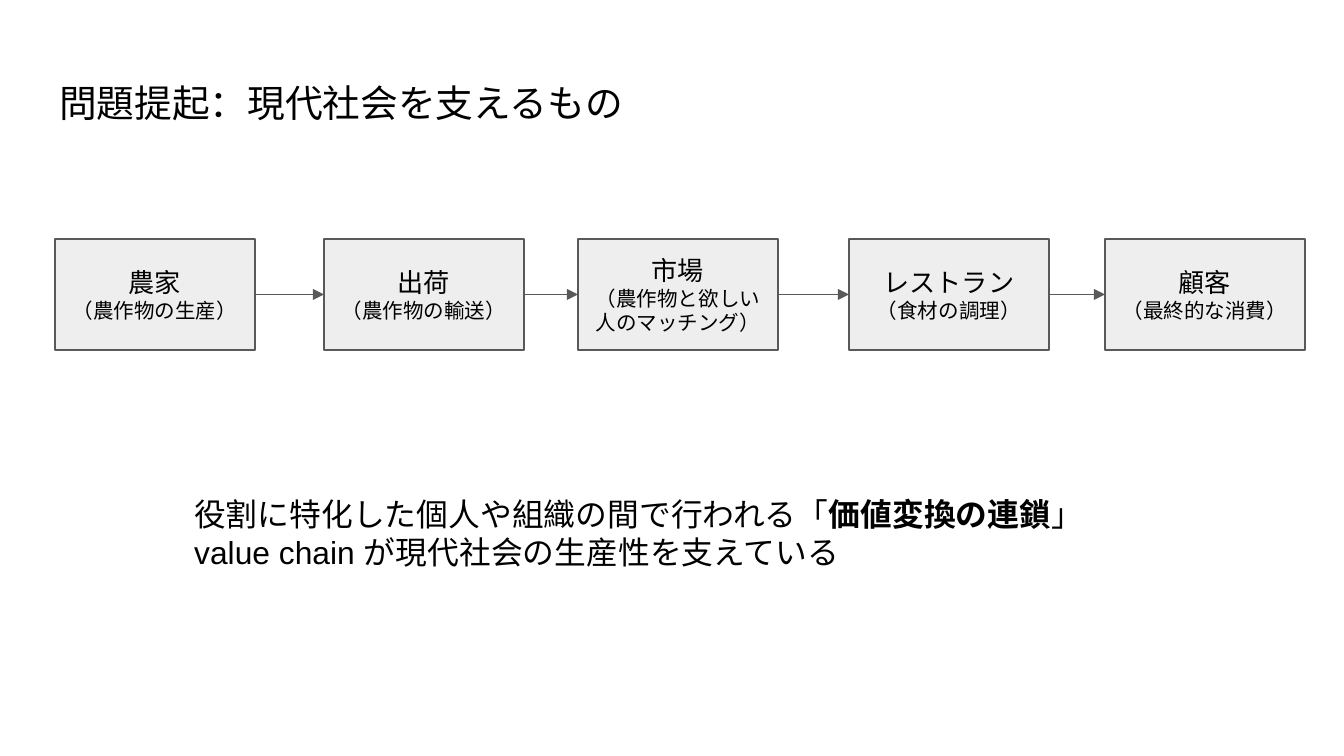
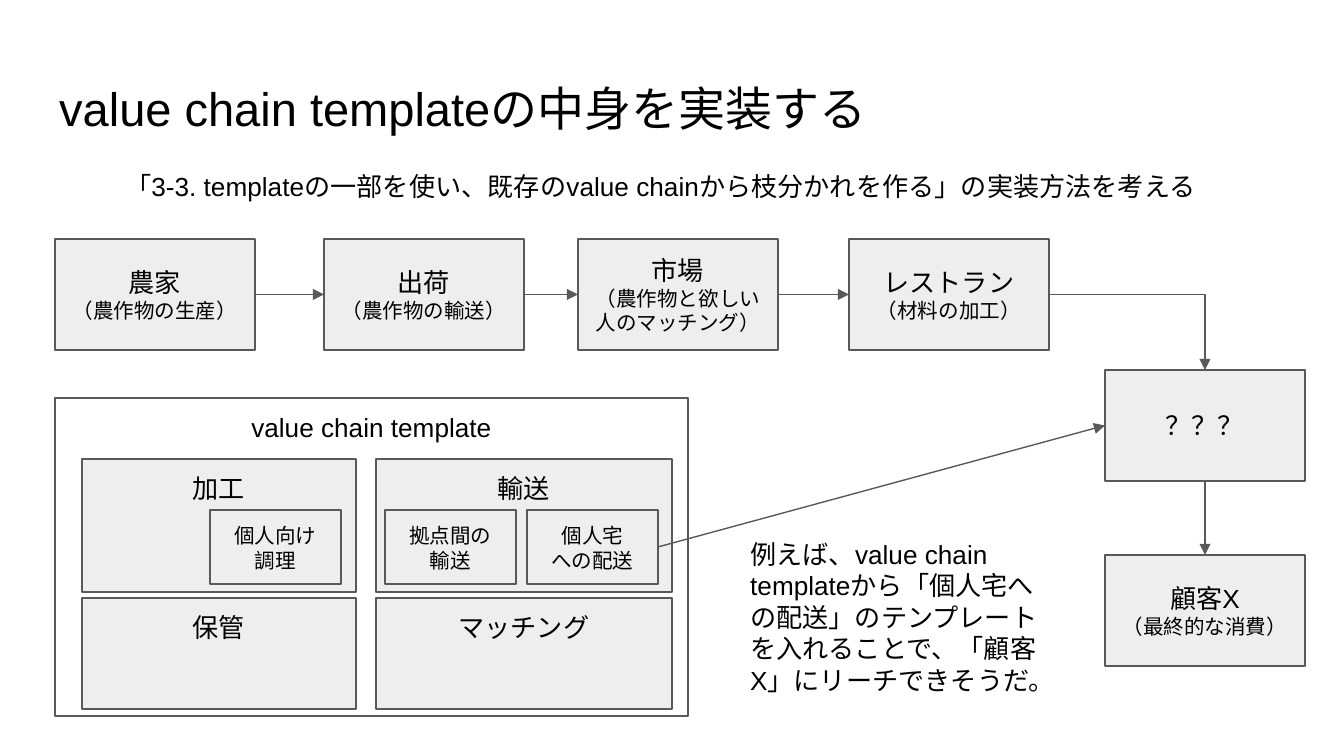
from lxml.etree import SubElement
from pptx import Presentation
from pptx.dml.color import RGBColor
from pptx.enum.shapes import MSO_CONNECTOR as LINK, MSO_SHAPE as SHAPE
from pptx.enum.text import MSO_ANCHOR as ANCHOR, PP_ALIGN as ALIGN
from pptx.oxml.ns import qn
from pptx.util import Pt

PX = 914400 / 134.4
COLORS = {"text": "000000", "box": "EEEEEE", "panel": "FFFFFF", "line": "595959"}
FONT = "Arial"
BIG, SMALL = 14, 11
NODE_W, NODE_H, CHAIN_TOP = 200, 111, 239
CHAIN_LEFTS = [55, 324, 578, 849, 1105]
TOP, LEFT, BOTTOM, RIGHT = range(4)


def place(slide, area, lines, fill=None, anchor=ANCHOR.TOP):
    area = [round(v * PX) for v in area]
    if fill:
        item = slide.shapes.add_shape(SHAPE.RECTANGLE, *area)
        item.shadow.inherit = False
        item.fill.solid()
        item.fill.fore_color.rgb = RGBColor.from_string(COLORS[fill])
        item.line.color.rgb = RGBColor.from_string(COLORS["line"])
        item.line.width = Pt(0.75)
    else:
        item = slide.shapes.add_textbox(*area)
    frame = item.text_frame
    frame.word_wrap = True
    frame.vertical_anchor = anchor
    frame.margin_left = frame.margin_right = frame.margin_top = frame.margin_bottom = 91440
    for i, (text, size) in enumerate(lines):
        para = frame.add_paragraph() if i else frame.paragraphs[0]
        para.alignment = ALIGN.CENTER if fill else ALIGN.LEFT
        para.font.size = Pt(size)
        para.font.color.rgb = RGBColor.from_string(COLORS["text"])
        para.font.name = FONT
        SubElement(para._p.pPr.find(qn("a:defRPr")), qn("a:ea"), typeface=FONT)
        for j, part in enumerate(text.split("*")):
            run = para.add_run()
            run.text = part
            if j % 2:
                run.font.bold = True
    return item


def arrow(slide, start, start_side, end, end_side, bent=False):
    link = slide.shapes.add_connector(LINK.ELBOW if bent else LINK.STRAIGHT, 0, 0, 0, 0)
    link.begin_connect(start, start_side)
    link.end_connect(end, end_side)
    link.line.color.rgb = RGBColor.from_string(COLORS["line"])
    link.line.width = Pt(0.75)
    props = link._element.spPr
    SubElement(props.find(qn("a:ln")), qn("a:tailEnd"), type="triangle")
    SubElement(props, qn("a:effectLst"))
    if bent:
        props.find(qn("a:prstGeom")).set("prst", "bentConnector2")


prs = Presentation()
prs.slide_width, prs.slide_height = round(1344 * PX), round(756 * PX)

shared_chain = [("農家", "（農作物の生産）"), ("出荷", "（農作物の輸送）"),
                ("市場", "（農作物と欲しい人のマッチング）")]
pages = [
    ("問題提起：現代社会を支えるもの", 20.2, 875,
     [("レストラン", "（食材の調理）"), ("顧客", "（最終的な消費）")]),
    ("value chain templateの中身を実装する", 25.2, 1145,
     [("レストラン", "（材料の加工）")]),
]
slides, chains = [], []
for title, size, width, last_steps in pages:
    slide = prs.slides.add_slide(prs.slide_layouts[6])
    place(slide, (46, 66, width, 85), [(title, size)])
    chain = [place(slide, (left, CHAIN_TOP, NODE_W, NODE_H), [(role, BIG), (task, SMALL)],
                   "box", ANCHOR.MIDDLE)
             for left, (role, task) in zip(CHAIN_LEFTS, shared_chain + last_steps)]
    for start, end in zip(chain, chain[1:]):
        arrow(slide, start, RIGHT, end, LEFT)
    slides.append(slide)
    chains.append(chain)

place(slides[0], (181, 481, 1001, 103),
      [("役割に特化した個人や組織の間で行われる「*価値変換の連鎖*」", 17),
       ("value chain が現代社会の生産性を支えている", 17)])

branch = slides[1]
unknown, customer = [
    place(branch, (CHAIN_LEFTS[-1], top, NODE_W, NODE_H), lines, "box", ANCHOR.MIDDLE)
    for top, lines in [(370, [("？？？", BIG)]),
                       (555, [("顧客X", BIG), ("（最終的な消費）", SMALL)])]]
arrow(branch, chains[1][-1], RIGHT, unknown, TOP, bent=True)
arrow(branch, unknown, BOTTOM, customer, TOP)

place(branch, (55, 398, 633, 318), [("value chain template", BIG)], "panel")
for top, height, names in [(459, 133, ("加工", "輸送")), (598, 111, ("保管", "マッチング"))]:
    for (left, width), name in zip([(82, 274), (376, 296)], names):
        place(branch, (left, top, width, height), [(name, BIG)], "box")
for left, words in [(210, ("個人向け", "調理")), (385, ("拠点間の", "輸送")),
                    (527, ("個人宅", "への配送"))]:
    part = place(branch, (left, 510, 131, 74), [(word, SMALL) for word in words], "box")
arrow(branch, part, RIGHT, unknown, LEFT)

place(branch, (737, 525, 321, 218),
      [("例えば、value chain templateから「個人宅への配送」のテンプレートを入れることで、"
        "「顧客X」にリーチできそうだ。", BIG)])
place(branch, (112, 157, 1111, 59),
      [("「3-3. templateの一部を使い、既存のvalue chainから枝分かれを作る」の実装方法を考える", BIG)])

prs.save("out.pptx")
